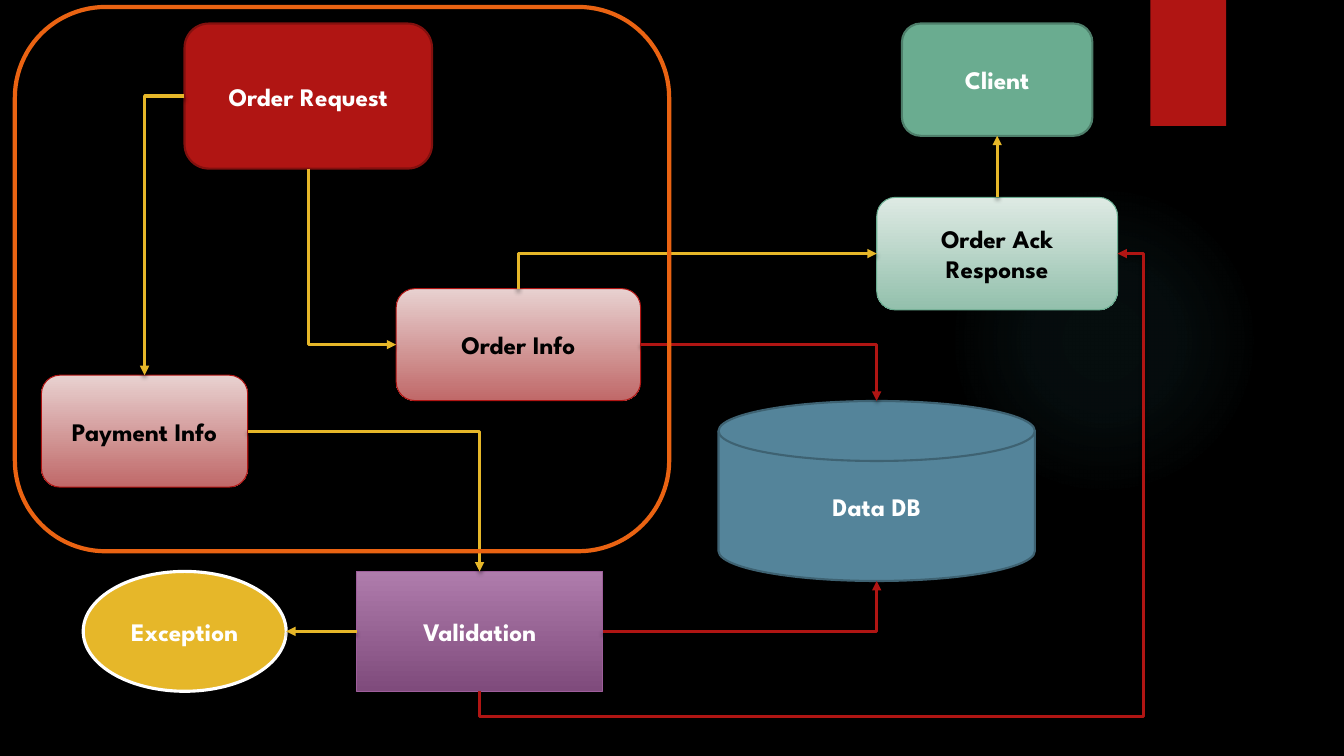
from dataclasses import dataclass
from typing import Optional

import lxml.etree
import pptx
import pptx.dml.color
import pptx.enum.shapes
import pptx.enum.text
import pptx.oxml
import pptx.oxml.ns
import pptx.util

Pt = pptx.util.Pt
RGB = pptx.dml.color.RGBColor
SHAPE = pptx.enum.shapes.MSO_SHAPE
qn = pptx.oxml.ns.qn

BLACK = RGB(0x00, 0x00, 0x00)
WHITE = RGB(0xFF, 0xFF, 0xFF)
RED = RGB(0xB0, 0x15, 0x13)
DARK_RED = RGB(0x82, 0x10, 0x0E)
PINK = RGB(0xE8, 0xD1, 0xD0)
ROSE = RGB(0xC0, 0x69, 0x69)
BLUE = RGB(0x54, 0x84, 0x9A)
DARK_BLUE = RGB(0x3E, 0x62, 0x72)
LILAC = RGB(0xAF, 0x7C, 0xAC)
PLUM = RGB(0x7F, 0x4B, 0x7C)
PURPLE = RGB(0x9E, 0x5E, 0x9B)
YELLOW = RGB(0xE6, 0xB7, 0x29)
GREEN = RGB(0x6A, 0xAC, 0x90)
DARK_GREEN = RGB(0x4E, 0x7F, 0x6B)
MIST = RGB(0xDE, 0xEA, 0xE4)
SAGE = RGB(0x93, 0xC0, 0xAC)
ORANGE = RGB(0xEA, 0x63, 0x12)
TEAL = RGB(0x50, 0xB9, 0xC1)

FONT = "League Spartan"
RECT_SITES = {"top": 0, "left": 1, "bottom": 2, "right": 3}
SITES = {
    SHAPE.OVAL: {"top": 0, "left": 2, "bottom": 4, "right": 6},
    SHAPE.FLOWCHART_MAGNETIC_DISK: {"top": 1, "left": 2, "bottom": 3, "right": 4},
}


@dataclass(frozen=True)
class Node:
    left: float
    top: float
    width: float
    height: float
    kind: SHAPE = SHAPE.ROUNDED_RECTANGLE
    fills: tuple[RGB, ...] = ()
    outline: Optional[RGB] = None
    outline_width: float = 0.75
    text: str = ""
    ink: RGB = WHITE
    shadow: bool = False

    def side(self, name: str) -> tuple[float, float]:
        x = {"left": 0, "right": self.width}.get(name, self.width / 2)
        y = {"top": 0, "bottom": self.height}.get(name, self.height / 2)
        return self.left + x, self.top + y


@dataclass(frozen=True)
class Link:
    start: Node
    start_side: str
    end: Node
    end_side: str
    color: RGB = YELLOW
    preset: str = "bentConnector2"
    bends: tuple[int, ...] = ()


BANNER = Node(821.8, 0, 54, 90, SHAPE.RECTANGLE, (RED,), shadow=True)
DATABASE = Node(513.2, 286.4, 226, 128.6, SHAPE.FLOWCHART_MAGNETIC_DISK, (BLUE,), DARK_BLUE, 1.5, "Data DB")
REQUEST = Node(131.8, 16.8, 176.8, 103.6, fills=(RED,), outline=DARK_RED, outline_width=1.5,
               text="Order Request")
ORDER = Node(283, 206.2, 174.6, 80, fills=(PINK, ROSE), outline=RED, text="Order Info", ink=BLACK)
PAYMENT = Node(29.6, 268, 147.4, 80, fills=(PINK, ROSE), outline=RED, text="Payment Info", ink=BLACK)
VALIDATION = Node(254.8, 408.2, 175.6, 85.6, SHAPE.RECTANGLE, (LILAC, PLUM), PURPLE,
                  text="Validation", shadow=True)
EXCEPTION = Node(59.4, 408.2, 145, 85.6, SHAPE.OVAL, (YELLOW,), WHITE, 2.25, "Exception")
CLIENT = Node(644.3, 16.8, 136, 80.2, fills=(GREEN,), outline=DARK_GREEN, outline_width=1.5, text="Client")
ACK = Node(626.3, 141, 172, 80.4, fills=(MIST, SAGE), outline=GREEN, text="Order Ack Response", ink=BLACK)
FRAME = Node(10.6, 5, 467.4, 388.8, outline=ORANGE, outline_width=3)

NODES = [DATABASE, REQUEST, ORDER, PAYMENT, VALIDATION, EXCEPTION, CLIENT, ACK]
LINKS = [
    Link(ACK, "top", CLIENT, "bottom", preset="line"),
    Link(VALIDATION, "left", EXCEPTION, "right", preset="line"),
    Link(PAYMENT, "right", VALIDATION, "top"),
    Link(ORDER, "top", ACK, "left"),
    Link(REQUEST, "bottom", ORDER, "left"),
    Link(REQUEST, "left", PAYMENT, "top"),
    Link(ORDER, "right", DATABASE, "top", RED),
    Link(VALIDATION, "right", DATABASE, "bottom", RED),
    Link(VALIDATION, "bottom", ACK, "right", RED, "bentConnector4", (-5800, 104000)),
]


def add_xml(parent, tag: str, **attributes):
    return lxml.etree.SubElement(parent, qn(tag), {k: str(v) for k, v in attributes.items()})


def add_translucent(parent, color: RGB, percent: int) -> None:
    add_xml(add_xml(parent, "a:srgbClr", val=color), "a:alpha", val=percent * 1000)


def add_effects(properties, shadow: bool) -> None:
    effects = add_xml(properties, "a:effectLst")
    if shadow:
        drop = add_xml(effects, "a:outerShdw", blurRad=Pt(3), dist=Pt(2), dir=5400000, rotWithShape=0)
        add_translucent(drop, BLACK, 45)


def draw_node(slide, node: Node):
    shape = slide.shapes.add_shape(
        node.kind, Pt(node.left), Pt(node.top), Pt(node.width), Pt(node.height))
    if len(node.fills) == 2:
        shape.fill.gradient()
        shape.fill.gradient_angle = 270
        for stop, color, position in zip(shape.fill.gradient_stops, node.fills, (0, 1)):
            stop.color.rgb = color
            stop.position = position
    elif node.fills:
        shape.fill.solid()
        shape.fill.fore_color.rgb = node.fills[0]
    else:
        shape.fill.background()
    if node.outline is None:
        shape.line.fill.background()
    else:
        shape.line.color.rgb = node.outline
        shape.line.width = Pt(node.outline_width)
    add_effects(shape._element.spPr, node.shadow)
    if node.text:
        frame = shape.text_frame
        frame.word_wrap = True
        frame.vertical_anchor = pptx.enum.text.MSO_ANCHOR.MIDDLE
        label = frame.paragraphs[0]
        label.text = node.text
        label.alignment = pptx.enum.text.PP_ALIGN.CENTER
        label.font.name = FONT
        label.font.size = Pt(18)
        label.font.bold = True
        label.font.color.rgb = node.ink
    return shape


def draw_glow(slide) -> None:
    glow = draw_node(slide, Node(677.5, 131.8, 221.8, 221.8, SHAPE.OVAL, (TEAL, TEAL)))
    gradient = glow._element.spPr.find(qn("a:gradFill"))
    for child in list(gradient):
        gradient.remove(child)
    stops = add_xml(gradient, "a:gsLst")
    for position, opacity in ((0, 7), (36, 6), (69, 0)):
        add_translucent(add_xml(stops, "a:gs", pos=position * 1000), TEAL, opacity)
    circle = add_xml(gradient, "a:path", path="circle")
    add_xml(circle, "a:fillToRect", l=50000, t=50000, r=50000, b=50000)


def draw_link(slide, link: Link, shapes: dict) -> None:
    x1, y1 = link.start.side(link.start_side)
    x2, y2 = link.end.side(link.end_side)
    turned = link.preset != "line" and link.start_side in ("top", "bottom")
    if turned:
        cx, cy = (x1 + x2) / 2, (y1 + y2) / 2
        x1, y1, x2, y2 = cx + y1 - cy, cy - x1 + cx, cx + y2 - cy, cy - x2 + cx
    arrow = slide.shapes.add_connector(
        pptx.enum.shapes.MSO_CONNECTOR.ELBOW, Pt(x1), Pt(y1), Pt(x2), Pt(y2))
    arrow.line.color.rgb = link.color
    arrow.line.width = Pt(2.25)
    properties = arrow._element.spPr
    if turned:
        properties.find(qn("a:xfrm")).set("rot", "5400000")
    geometry = properties.find(qn("a:prstGeom"))
    geometry.set("prst", link.preset)
    for number, bend in enumerate(link.bends, 1):
        add_xml(geometry.find(qn("a:avLst")), "a:gd", name=f"adj{number}", fmla=f"val {bend}")
    add_xml(properties.find(qn("a:ln")), "a:tailEnd", type="triangle")
    add_effects(properties, True)
    ends = arrow._element.nvCxnSpPr.cNvCxnSpPr
    for tag, node, side in (("a:stCxn", link.start, link.start_side), ("a:endCxn", link.end, link.end_side)):
        add_xml(ends, tag, id=shapes[node].shape_id, idx=SITES.get(node.kind, RECT_SITES)[side])


def main() -> None:
    deck = pptx.Presentation()
    deck.slide_width, deck.slide_height = Pt(960), Pt(540)
    slide = deck.slides.add_slide(deck.slide_layouts[6])
    slide.background.fill.solid()
    slide.background.fill.fore_color.rgb = BLACK
    draw_glow(slide)
    draw_node(slide, BANNER)
    shapes = {node: draw_node(slide, node) for node in NODES}
    for link in LINKS:
        draw_link(slide, link, shapes)
    draw_node(slide, FRAME)
    deck.save("out.pptx")


if __name__ == "__main__":
    main()
